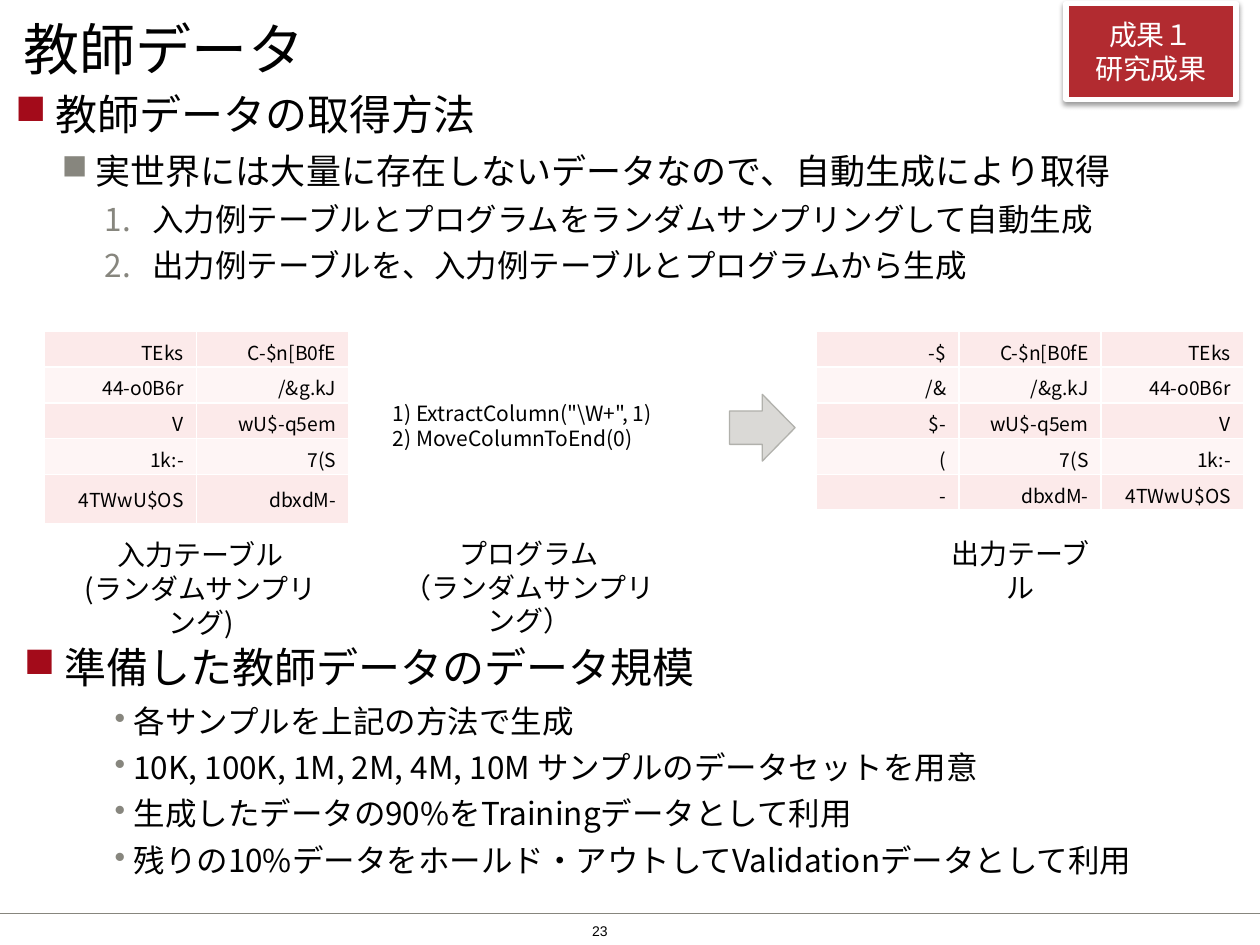
from lxml import etree
from pptx import Presentation, util as u
from pptx.dml.color import RGBColor
from pptx.enum import shapes, text
from pptx.oxml.ns import qn

FONT = "Noto Sans CJK JP"
BLACK, WHITE = RGBColor(0, 0, 0), RGBColor(255, 255, 255)
RED, BADGE_RED = RGBColor(0xA3, 0x0B, 0x1A), RGBColor(0xB2, 0x2B, 0x30)
GRAY, ARROW_FILL = RGBColor(0x87, 0x86, 0x7E), RGBColor(0xDA, 0xD9, 0xD6)
ARROW_LINE = RGBColor(0xB1, 0xB1, 0xAC)
BANDS = RGBColor(0xFC, 0xEA, 0xEA), RGBColor(0xFE, 0xF5, 0xF5)
LEFT, CENTER, RIGHT = text.PP_ALIGN.LEFT, text.PP_ALIGN.CENTER, text.PP_ALIGN.RIGHT
MIDDLE = text.MSO_ANCHOR.MIDDLE

# Content
TITLE = "教師データ"
# Outline style: level, size, text indent, hanging, bullet, bullet colour
STYLES = {
    "head": (0, 24, 0.32, 0.32, "■", RED),
    "sub": (1, 20, 0.64, 0.27, "■", GRAY),
    "step": (2, 18, 1.09, 0.38, None, GRAY),
    "dot": (2, 18, 0.87, 0.15, "•", GRAY),
}
OUTLINES = [
    ((0.12, 0.73, 9.7, 1.82), [
        ("head", "教師データの取得方法"),
        ("sub", "実世界には大量に存在しないデータなので、自動生成により取得"),
        ("step", "入力例テーブルとプログラムをランダムサンプリングして自動生成"),
        ("step", "出力例テーブルを、入力例テーブルとプログラムから生成"),
    ]),
    ((0.19, 5.12, 9.7, 2.02), [
        ("head", "準備した教師データのデータ規模"),
        ("dot", "各サンプルを上記の方法で生成"),
        ("dot", "10K, 100K, 1M, 2M, 4M, 10M サンプルのデータセットを用意"),
        ("dot", "生成したデータの90%をTrainingデータとして利用"),
        ("dot", "残りの10%データをホールド・アウトしてValidationデータとして利用"),
    ]),
]
INPUT_ROWS = [("TEks", "C-$n[B0fE"), ("44-o0B6r", "/&g.kJ"), ("V", "wU$-q5em"),
              ("1k:-", "7(S"), ("4TWwU$OS", "dbxdM-")]
EXTRACTED = ["-$", "/&", "$-", "(", "-"]
OUTPUT_ROWS = [(part, second, first) for part, (first, second) in zip(EXTRACTED, INPUT_ROWS)]
# Table: left, column width, last row height, rows
TABLES = [(0.35, 1.21, 0.39, INPUT_ROWS), (6.48, 1.13, 0.28, OUTPUT_ROWS)]
TABLE_TOP, ROW_HEIGHT = 2.63, 0.28
PROGRAM = ['1) ExtractColumn("\\W+", 1)', "2) MoveColumnToEnd(0)"]
CAPTIONS = [
    ((0.56, 4.22, 2.07, 0.64), ["入力テーブル", "(ランダムサンプリング)"]),
    ((3.04, 4.21, 2.32, 0.64), ["プログラム", "（ランダムサンプリング）"]),
    ((7.42, 4.21, 1.36, 0.37), ["出力テーブル"]),
]
BADGE = ["成果１", "研究成果"]


def inches(box):
    return [u.Inches(value) for value in box]


def add_element(parent, tag, **attributes):
    return etree.SubElement(parent, qn(tag), attributes)


def add_run(paragraph, words, size, color=BLACK, font=FONT):
    run = paragraph.add_run()
    run.text = words
    run.font.size, run.font.name, run.font.bold = u.Pt(size), font, False
    run.font.color.rgb = color
    add_element(run.font._element, "a:ea", typeface=font)


def write_lines(frame, lines, size, align=LEFT, color=BLACK, font=FONT):
    for index, line in enumerate(lines):
        paragraph = frame.add_paragraph() if index else frame.paragraphs[0]
        paragraph.alignment = align
        add_run(paragraph, line, size, color, font)


def no_margins(frame):
    frame.margin_left = frame.margin_right = frame.margin_top = frame.margin_bottom = 0


def add_textbox(slide, box, wrap=True):
    frame = slide.shapes.add_textbox(*inches(box)).text_frame
    frame.word_wrap = wrap
    return frame


def add_outline(slide, box, items):
    frame = add_textbox(slide, box)
    no_margins(frame)
    for index, (style, words) in enumerate(items):
        level, size, indent, hanging, bullet, color = STYLES[style]
        paragraph = frame.add_paragraph() if index else frame.paragraphs[0]
        paragraph.level = level
        paragraph.line_spacing = 0.95
        paragraph.space_before = u.Pt(0.22 * size if index else 0)
        paragraph.space_after = u.Pt(0.11 * size)
        properties = paragraph._p.get_or_add_pPr()
        properties.set("marL", str(u.Inches(indent)))
        properties.set("indent", str(-u.Inches(hanging)))
        bullet_color = add_element(properties, "a:buClr")
        add_element(bullet_color, "a:srgbClr", val=str(color))
        if bullet:
            add_element(properties, "a:buChar", char=bullet)
        else:
            add_element(properties, "a:buAutoNum", type="arabicPeriod")
        add_run(paragraph, words, size)


def add_grid(slide, left, column_width, last_height, rows):
    columns = len(rows[0])
    heights = [ROW_HEIGHT] * (len(rows) - 1) + [last_height]
    box = inches((left, TABLE_TOP, column_width * columns, sum(heights)))
    table = slide.shapes.add_table(len(rows), columns, *box).table
    table.first_row = table.horz_banding = False
    for column in table.columns:
        column.width = u.Inches(column_width)
    for index, (row, height, values) in enumerate(zip(table.rows, heights, rows)):
        row.height = u.Inches(height)
        for cell, value in zip(row.cells, values):
            properties = cell._tc.get_or_add_tcPr()
            for side in ("a:lnL", "a:lnR", "a:lnT", "a:lnB"):
                border = add_element(properties, side, w=str(u.Pt(1)))
                add_element(add_element(border, "a:solidFill"), "a:srgbClr", val=str(WHITE))
            cell.fill.solid()
            cell.fill.fore_color.rgb = BANDS[index % 2]
            cell.vertical_anchor = MIDDLE
            write_lines(cell.text_frame, [value], 11, RIGHT)


def add_block(slide, kind, box, fill, line, width):
    shape = slide.shapes.add_shape(kind, *inches(box))
    shape.shadow.inherit = False
    shape.fill.solid()
    shape.fill.fore_color.rgb = fill
    shape.line.color.rgb = line
    shape.line.width = u.Pt(width)
    return shape


def main():
    presentation = Presentation()
    presentation.slide_width, presentation.slide_height = inches((10, 7.5))
    slide = presentation.slides.add_slide(presentation.slide_layouts[5])

    # Title
    title = slide.shapes.title
    title.left, title.top, title.width, title.height = inches((0.19, 0, 8.59, 0.76))
    frame = title.text_frame
    no_margins(frame)
    frame.vertical_anchor = MIDDLE
    frame.auto_size = text.MSO_AUTO_SIZE.NONE
    write_lines(frame, [TITLE], 32)

    # Footer rule and page number
    rule = slide.shapes.add_connector(shapes.MSO_CONNECTOR.STRAIGHT, *inches((0, 7.25, 10, 7.25)))
    rule.line.color.rgb, rule.line.width = GRAY, u.Pt(1)
    add_element(rule._element.spPr, "a:effectLst")
    frame = add_textbox(slide, (4.7, 7.28, 0.59, 0.22))
    no_margins(frame)
    frame.vertical_anchor = MIDDLE
    write_lines(frame, ["23"], 8, font="Arial")

    # Result badge with a soft shadow
    badge = add_block(slide, shapes.MSO_SHAPE.RECTANGLE, (8.46, 0.03, 1.35, 0.76),
                      BADGE_RED, WHITE, 3)
    shadow = add_element(badge._element.spPr.find(qn("a:effectLst")), "a:outerShdw",
                         blurRad=str(u.Pt(3.1)), dist=str(u.Pt(1.6)), dir="5400000",
                         rotWithShape="0")
    add_element(add_element(shadow, "a:srgbClr", val=str(BLACK)), "a:alpha", val="38000")
    badge.text_frame.word_wrap = False
    badge.text_frame.vertical_anchor = MIDDLE
    write_lines(badge.text_frame, BADGE, 16, CENTER, WHITE)

    # Outlines
    for box, items in OUTLINES:
        add_outline(slide, box, items)

    # Input table, program, arrow, output table
    for grid in TABLES:
        add_grid(slide, *grid)
    write_lines(add_textbox(slide, (3.02, 3.13, 2.6, 0.5), wrap=False), PROGRAM, 12)
    add_block(slide, shapes.MSO_SHAPE.RIGHT_ARROW, (5.79, 3.13, 0.52, 0.53),
              ARROW_FILL, ARROW_LINE, 0.75)
    for box, lines in CAPTIONS:
        write_lines(add_textbox(slide, box), lines, 16, CENTER)

    presentation.save("out.pptx")


if __name__ == "__main__":
    main()
